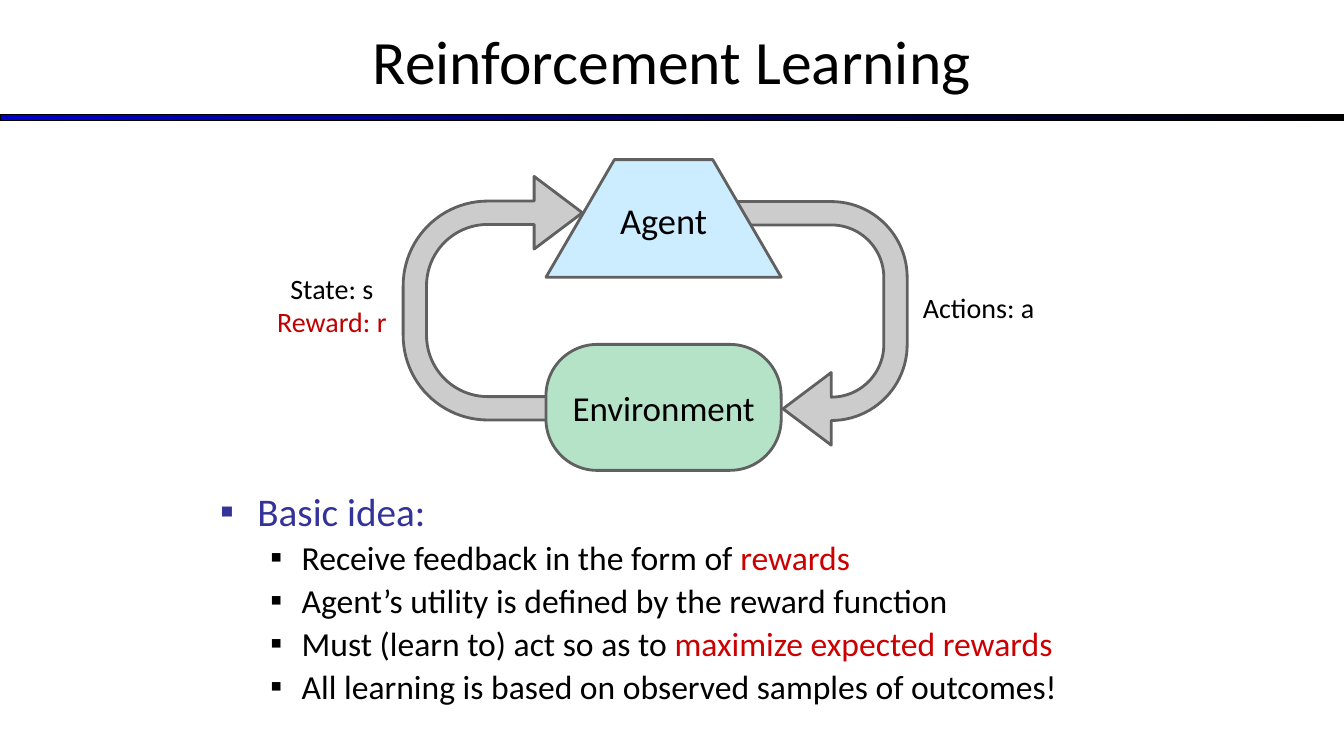
from dataclasses import dataclass
from typing import Optional

from pptx import Presentation
from pptx.dml.color import RGBColor
from pptx.enum.shapes import MSO_SHAPE as Preset
from pptx.enum.text import MSO_ANCHOR as Anchor, MSO_AUTO_SIZE as AutoSize, PP_ALIGN as Align
from pptx.oxml.xmlchemy import OxmlElement
from pptx.util import Emu, Inches, Pt

FONT = "Calibri"
COLORS = {
    "black": "000000", "blue": "0000CC", "indigo": "333399", "red": "CC0000",
    "dark_red": "C00000", "outline": "606060", "arrow": "CCCCCC",
    "agent": "CCECFF", "environment": "B5E3C8",
}
COLUMNS, ROWS = 16, 9
SLIDE_WIDTH, SLIDE_HEIGHT = Inches(40 / 3), Inches(7.5)


@dataclass(frozen=True)
class Box:
    """A place on the slide, in grid columns and rows."""
    column: float
    row: float
    columns: float
    rows: float

    def lengths(self) -> list[Emu]:
        across, down = SLIDE_WIDTH / COLUMNS, SLIDE_HEIGHT / ROWS
        return [Emu(round(value)) for value in (
            self.column * across, self.row * down,
            self.columns * across, self.rows * down)]


@dataclass(frozen=True)
class Words:
    text: str
    color: str = "black"


@dataclass(frozen=True)
class Figure:
    preset: Preset
    box: Box
    fill: str
    adjustments: tuple[float, ...]
    rotation: int = 0
    label: str = ""
    size: int = 0
    bottom_inset: float = 0.05


@dataclass(frozen=True)
class Caption:
    box: Box
    lines: tuple[Words, ...]


@dataclass(frozen=True)
class Bullet:
    words: tuple[Words, ...]
    level: int = 1
    color: str = "black"


@dataclass(frozen=True)
class BulletStyle:
    size: int
    margin: float
    hanging: float
    space_before: float


FIGURES = (
    Figure(Preset.U_TURN_ARROW, Box(4.5, 2.4, 2.9, 2.3), "arrow",
           (0.121, 0.188, 0.25, 0.438, 0.928), rotation=270),
    Figure(Preset.U_TURN_ARROW, Box(8.2, 2.7, 2.9, 2.3), "arrow",
           (0.121, 0.188, 0.25, 0.438, 0.643), rotation=90),
    Figure(Preset.ROUNDED_RECTANGLE, Box(6.5, 4.1, 2.8, 1.5), "environment",
           (0.406,), label="Environment", size=25),
    Figure(Preset.TRAPEZOID, Box(6.5, 1.9, 2.8, 1.4), "agent",
           (0.582,), label="Agent", size=26, bottom_inset=0.25),
)
CAPTIONS = (
    Caption(Box(10.6, 3.4, 2.1, 0.53), (Words("Actions: a"),)),
    Caption(Box(2.9, 3.17, 2.1, 0.92), (Words("State: s"), Words("Reward: r", "dark_red"))),
)
BULLETS = (
    Bullet((Words("Basic idea:", "indigo"),), level=0, color="indigo"),
    Bullet((Words("Receive feedback in the form of "), Words("rewards", "red"))),
    Bullet((Words("Agent’s utility is defined by the reward function"),)),
    Bullet((Words("Must (learn to) act so as to "), Words("maximize expected rewards", "red"))),
    Bullet((Words("All learning is based on observed samples of outcomes!"),)),
)
BULLET_STYLES = (BulletStyle(28, 0.37, 0.37, 0), BulletStyle(24, 0.81, 0.31, 4.8))


def rgb(name: str) -> RGBColor:
    return RGBColor.from_string(COLORS[name])


def place(shape, box: Box) -> None:
    shape.left, shape.top, shape.width, shape.height = box.lengths()


def add_words(paragraph, words: Words, size: float) -> None:
    run = paragraph.add_run()
    run.text = words.text
    run.font.name, run.font.size = FONT, Pt(size)
    run.font.color.rgb = rgb(words.color)


def next_paragraph(frame, index: int):
    return frame.add_paragraph() if index else frame.paragraphs[0]


def fill_title(title) -> None:
    place(title, Box(0, -0.04, COLUMNS, 1.5))
    frame = title.text_frame
    frame.auto_size, frame.vertical_anchor = AutoSize.NONE, Anchor.MIDDLE
    frame.paragraphs[0].alignment = Align.CENTER
    add_words(frame.paragraphs[0], Words("Reinforcement Learning"), 44)


def set_bullet(paragraph, color: str, style: BulletStyle) -> None:
    properties = paragraph._p.get_or_add_pPr()
    properties.set("marL", str(Inches(style.margin)))
    properties.set("indent", str(-Inches(style.hanging)))
    bullet_color = OxmlElement("a:buClr")
    color_value = OxmlElement("a:srgbClr")
    color_value.set("val", COLORS[color])
    bullet_color.append(color_value)
    bullet_font = OxmlElement("a:buFont")
    bullet_font.set("typeface", FONT)
    character = OxmlElement("a:buChar")
    character.set("char", "▪")
    properties.extend([bullet_color, bullet_font, character])


def fill_body(body) -> None:
    place(body, Box(2.5, 5.8, 11, 2.7))
    frame = body.text_frame
    frame.auto_size, frame.vertical_anchor = AutoSize.NONE, Anchor.TOP
    for index, bullet in enumerate(BULLETS):
        style = BULLET_STYLES[bullet.level]
        paragraph = next_paragraph(frame, index)
        paragraph.level = bullet.level
        paragraph.line_spacing = 0.9
        paragraph.space_before = Pt(style.space_before)
        set_bullet(paragraph, bullet.color, style)
        for words in bullet.words:
            add_words(paragraph, words, style.size)


def add_title_rule(slide) -> None:
    rule = slide.shapes.add_shape(Preset.RECTANGLE, *Box(0, 1.36, COLUMNS, 0.08).lengths())
    rule.shadow.inherit = False
    rule.fill.gradient()
    rule.fill.gradient_angle = 0
    for stop, color in zip(rule.fill.gradient_stops, ("blue", "black")):
        stop.color.rgb = rgb(color)
    rule.line.color.rgb, rule.line.width = rgb("black"), Pt(0.75)


def add_figure(slide, figure: Figure) -> None:
    shape = slide.shapes.add_shape(figure.preset, *figure.box.lengths())
    shape.shadow.inherit = False
    shape.rotation = figure.rotation
    for index, value in enumerate(figure.adjustments):
        shape.adjustments[index] = value
    shape.fill.solid()
    shape.fill.fore_color.rgb = rgb(figure.fill)
    shape.line.color.rgb, shape.line.width = rgb("outline"), Pt(2)
    if figure.label:
        frame = shape.text_frame
        frame.vertical_anchor = Anchor.MIDDLE
        frame.margin_bottom = Inches(figure.bottom_inset)
        frame.paragraphs[0].alignment = Align.CENTER
        add_words(frame.paragraphs[0], Words(figure.label), figure.size)


def add_caption(slide, caption: Caption) -> None:
    frame = slide.shapes.add_textbox(*caption.box.lengths()).text_frame
    frame.word_wrap, frame.auto_size = True, AutoSize.SHAPE_TO_FIT_TEXT
    for index, line in enumerate(caption.lines):
        paragraph = next_paragraph(frame, index)
        paragraph.alignment = Align.CENTER
        add_words(paragraph, line, 20)


def main() -> None:
    presentation = Presentation()
    presentation.slide_width, presentation.slide_height = SLIDE_WIDTH, SLIDE_HEIGHT
    slide = presentation.slides.add_slide(presentation.slide_layouts[1])
    fill_title(slide.shapes.title)
    fill_body(slide.placeholders[1])
    add_title_rule(slide)
    for figure in FIGURES:
        add_figure(slide, figure)
    for caption in CAPTIONS:
        add_caption(slide, caption)
    presentation.save("out.pptx")


if __name__ == "__main__":
    main()
